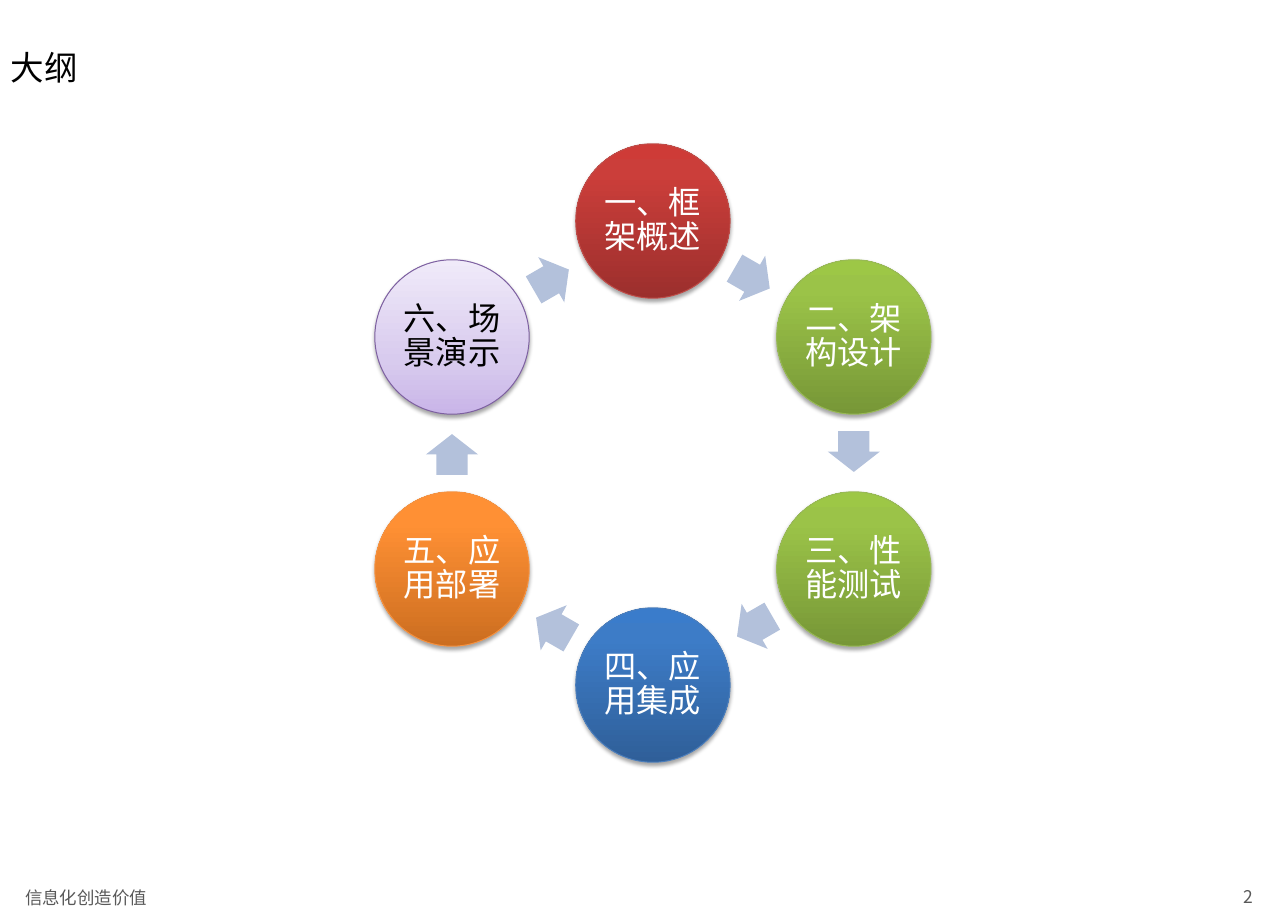
from copy import deepcopy
from math import cos, radians, sin

from lxml.etree import SubElement
from pptx import Presentation
from pptx.dml.color import RGBColor as Rgb
from pptx.enum.shapes import MSO_SHAPE as Shape
from pptx.enum.text import MSO_ANCHOR as Anchor, PP_ALIGN as Align
from pptx.oxml.ns import qn
from pptx.util import Cm, Pt

COLORS = {
    "black": "000000", "white": "FFFFFF", "gray": "595959", "arrow": "B3C1DB",
    "red line": "BF4C48", "green line": "98B955", "blue line": "4B7EBC",
    "orange line": "F69240", "purple line": "7D60A0",
}
# Gradient stops run from the bottom of the circle to the top
GRADIENTS = {
    "red": [(0, "9C2F2D"), (0.8, "CB3E3A"), (1, "CE3B37")],
    "green": [(0, "779737"), (0.8, "9BC348"), (1, "9DC746")],
    "blue": [(0, "2F5F99"), (0.8, "3D7CC7"), (1, "3A7CCB")],
    "orange": [(0, "CC6E20"), (0.8, "FF9034"), (1, "FF9136")],
    "purple": [(0, "C9B5E8"), (0.35, "D8CBEE"), (1, "F0EAF9")],
}
TOPICS = [
    ("一、框架概述", "red", "white"),
    ("二、架构设计", "green", "white"),
    ("三、性能测试", "green", "white"),
    ("四、应用集成", "blue", "white"),
    ("五、应用部署", "orange", "white"),
    ("六、场景演示", "purple", "black"),
]
CENTER_X, CENTER_Y, RADIUS = 17.17, 11.91, 6.1
DIAMETER = 4.06
ARROW_WIDTH, ARROW_HEIGHT = 1.07, 1.37


class SlideBuilder:
    font = "Noto Sans CJK SC"

    def __init__(self, page):
        self.page = page

    def set_text(self, shape, text, size, color, insets=(0.33, 0.15),
                 anchor=Anchor.MIDDLE, **para_format):
        frame = shape.text_frame
        side, edge = map(Cm, insets)
        frame_format = {
            "word_wrap": True, "vertical_anchor": anchor,
            "margin_left": side, "margin_right": side,
            "margin_top": edge, "margin_bottom": edge,
        }
        para = frame.paragraphs[0]
        span = para.add_run()
        span.text = text
        font_format = {"size": Pt(size), "name": self.font}
        for target, values in ((frame, frame_format), (para, para_format),
                               (span.font, font_format)):
            for name, value in values.items():
                setattr(target, name, value)
        span.font.color.rgb = Rgb.from_string(COLORS[color])
        SubElement(span._r.get_or_add_rPr(), qn("a:ea"), typeface=self.font)

    def text(self, left, top, width, height, text, size, color, **options):
        box = self.page.shapes.add_textbox(Cm(left), Cm(top), Cm(width), Cm(height))
        self.set_text(box, text, size, color, **options)

    def centered(self, kind, x, y, width, height):
        return self.page.shapes.add_shape(
            kind, Cm(x - width / 2), Cm(y - height / 2), Cm(width), Cm(height))

    def circle(self, x, y, text, hue, text_color):
        circle = self.centered(Shape.OVAL, x, y, DIAMETER, DIAMETER)
        circle.line.color.rgb = Rgb.from_string(COLORS[f"{hue} line"])
        circle.line.width = Pt(0.75)
        self.gradient(circle, GRADIENTS[hue])
        self.shadow(circle)
        self.set_text(circle, text, 24, text_color, insets=(0.08, 0.08),
                      alignment=Align.CENTER, line_spacing=0.9, space_after=Pt(8.4))

    def gradient(self, shape, stops):
        shape.fill.gradient()
        shape.fill.gradient_angle = 90
        stop_list = shape.element.spPr.find(".//" + qn("a:gsLst"))
        stop_list.append(deepcopy(stop_list[0]))
        for stop, (position, color) in zip(shape.fill.gradient_stops, stops):
            stop.position = position
            stop.color.rgb = Rgb.from_string(color)

    def shadow(self, shape):
        shape.shadow.inherit = False
        effects = shape.element.spPr.find(qn("a:effectLst"))
        outer = SubElement(effects, qn("a:outerShdw"), blurRad=str(Pt(3.1)),
                           dist=str(Pt(1.8)), dir="5400000", rotWithShape="0")
        color = SubElement(outer, qn("a:srgbClr"), val=COLORS["black"])
        SubElement(color, qn("a:alpha"), val="35000")

    def arrow(self, x, y, rotation):
        arrow = self.centered(Shape.RIGHT_ARROW, x, y, ARROW_WIDTH, ARROW_HEIGHT)
        arrow.adjustments[0] = 0.6
        arrow.adjustments[1] = 0.5
        arrow.rotation = rotation
        arrow.shadow.inherit = False
        arrow.fill.solid()
        arrow.fill.fore_color.rgb = Rgb.from_string(COLORS["arrow"])
        arrow.line.fill.background()


def ring_point(angle, radius):
    """Point on the ring, with the angle clockwise from the top."""
    turn = radians(angle)
    return CENTER_X + radius * sin(turn), CENTER_Y - radius * cos(turn)


def main():
    deck = Presentation()
    deck.slide_width, deck.slide_height = Cm(33.87), Cm(24.16)
    builder = SlideBuilder(deck.slides.add_slide(deck.slide_layouts[6]))

    # Footer and page number
    builder.text(0.33, 23.24, 10.72, 0.69, "信息化创造价值", 13, "gray")
    builder.text(29.29, 23.16, 3.99, 0.81, "2", 13, "gray", alignment=Align.RIGHT)

    # Ring of topics, each followed by an arrow to the next
    step = 360 / len(TOPICS)
    arrow_radius = RADIUS * cos(radians(step / 2))
    for index, (text, hue, text_color) in enumerate(TOPICS):
        angle = index * step
        builder.circle(*ring_point(angle, RADIUS), text, hue, text_color)
        middle = angle + step / 2
        builder.arrow(*ring_point(middle - 0.4, arrow_radius), middle)

    # Title
    builder.text(-0.05, 0.94, 28.35, 1.73, "大纲", 25, "black",
                 anchor=Anchor.TOP, line_spacing=Pt(34))

    deck.save("out.pptx")


if __name__ == "__main__":
    main()
